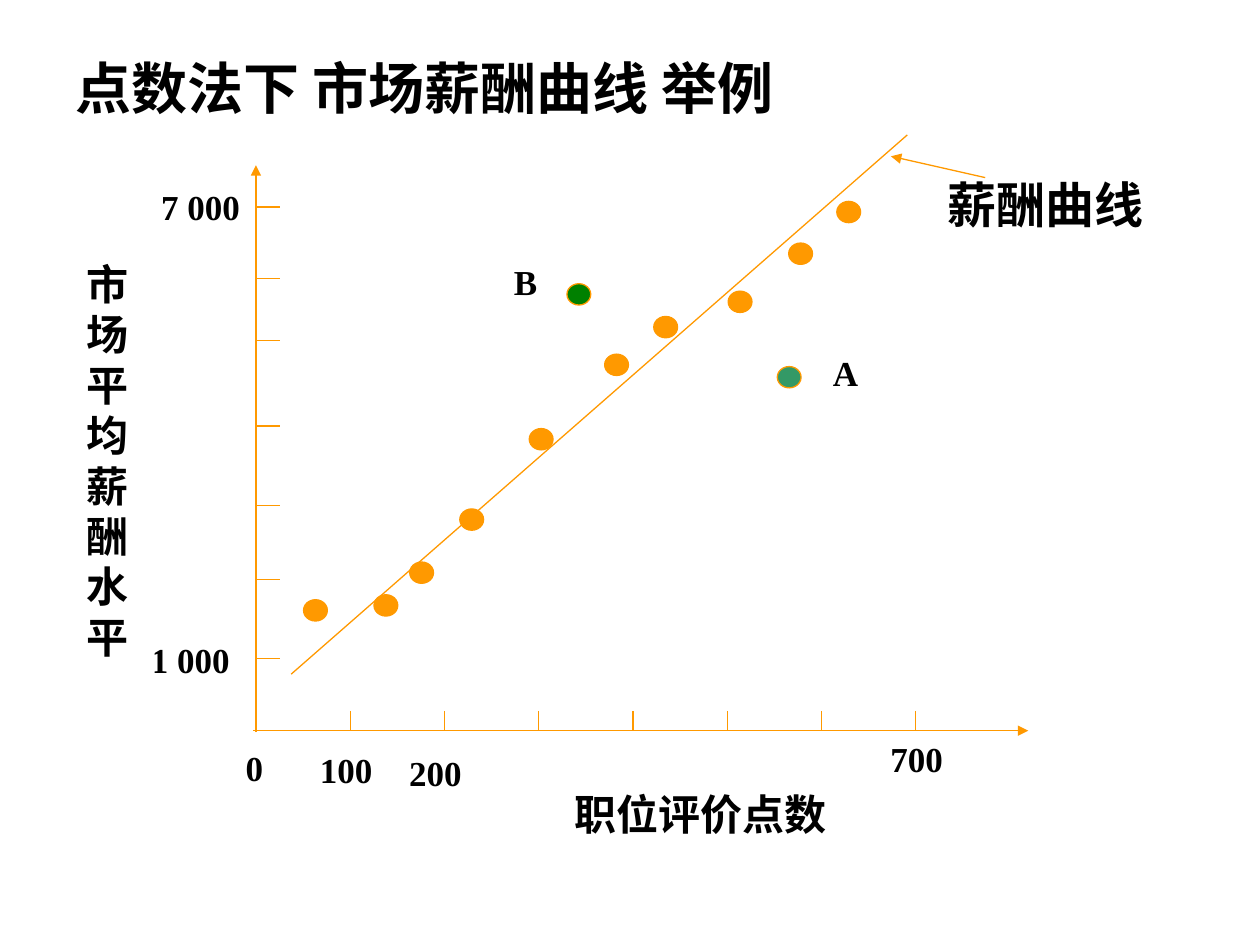
from lxml.etree import SubElement
from pptx import Presentation
from pptx.dml.color import RGBColor
from pptx.enum.shapes import MSO_CONNECTOR as CONN, MSO_SHAPE as SHAPE
from pptx.enum.text import MSO_ANCHOR as ANCHOR, PP_ALIGN as ALIGN
from pptx.oxml.ns import qn
from pptx.util import Cm, Pt

BLACK = RGBColor(0x00, 0x00, 0x00)
WHITE = RGBColor(0xFF, 0xFF, 0xFF)
ORANGE = RGBColor(0xFF, 0x99, 0x00)
TEAL = RGBColor(0x33, 0x99, 0x66)
GREEN = RGBColor(0x00, 0x80, 0x00)

# Axis positions and ticks in cm
AXIS_X, AXIS_Y = 5.16, 14.73
X_TICKS = [7.06 + 1.9 * i for i in range(7)]
Y_TICKS = [4.17, 5.61, 6.86, 8.59, 10.19, 11.68, 13.28]

# Left and top of each job's dot
JOBS = [(6.12, 12.09), (7.54, 11.99), (8.26, 11.33), (9.27, 10.26),
        (10.67, 8.64), (12.19, 7.14), (13.18, 6.38), (14.68, 5.87),
        (15.9, 4.9), (16.87, 4.06)]

# Text, left, top, width, height, size
LABELS = [
    ("0", 4.7, 14.91, 1.14, 1.37, 20),
    ("100", 6.2, 14.96, 1.75, 1.27, 20),
    ("200", 8.0, 15.01, 1.7, 1.19, 20),
    ("700", 17.7, 14.73, 2.36, 1.27, 20),
    ("1 000", 2.79, 12.75, 2.15, 1.37, 20),
    ("7 000", 3.0, 3.61, 2.18, 1.27, 20),
    ("A", 16.54, 6.96, 1.9, 1.27, 20),
    ("B", 10.11, 5.13, 1.22, 1.27, 20),
    ("职位评价点数", 11.33, 15.77, 12.95, 1.5, 24),
    ("薪酬曲线", 18.85, 3.38, 5.28, 1.45, 28),
]


class ChartSlide:
    font = "Times New Roman"
    line_width = Pt(0.75)

    def __init__(self, prs):
        self.s = prs.slides.add_slide(prs.slide_layouts[5])

    def add_text(self, tf, paragraphs, size, side=0.25):
        tf.word_wrap = True
        tf.margin_left = tf.margin_right = Cm(side)
        tf.margin_top = tf.margin_bottom = Cm(0.13)
        for i, text in enumerate(paragraphs):
            p = tf.add_paragraph() if i else tf.paragraphs[0]
            p.alignment = ALIGN.JUSTIFY
            r = p.add_run()
            r.text = text
            r.font.name = self.font
            r.font.size = Pt(size)
            r.font.bold = True
            r.font.color.rgb = BLACK

    def title(self, text, x, y, w, h):
        sp = self.s.shapes.title
        sp.left, sp.top, sp.width, sp.height = Cm(x), Cm(y), Cm(w), Cm(h)
        self.add_text(sp.text_frame, [text], 32)
        sp.text_frame.vertical_anchor = ANCHOR.MIDDLE

    def shape(self, kind, x, y, w, h, fill):
        sp = self.s.shapes.add_shape(kind, Cm(x), Cm(y), Cm(w), Cm(h))
        sp.shadow.inherit = False
        sp.fill.solid()
        sp.fill.fore_color.rgb = fill
        return sp

    def label(self, paragraphs, x, y, w, h, size, side=0.25):
        sp = self.shape(SHAPE.RECTANGLE, x, y, w, h, WHITE)
        sp.line.fill.background()
        sp.text_frame.vertical_anchor = ANCHOR.TOP
        self.add_text(sp.text_frame, paragraphs, size, side)

    def dot(self, x, y, fill=ORANGE):
        sp = self.shape(SHAPE.OVAL, x, y, 0.48, 0.43, fill)
        sp.line.color.rgb = ORANGE
        sp.line.width = self.line_width

    def line(self, x1, y1, x2, y2, arrow=False):
        c = self.s.shapes.add_connector(CONN.STRAIGHT, Cm(x1), Cm(y1), Cm(x2), Cm(y2))
        c.line.color.rgb = ORANGE
        c.line.width = self.line_width
        props = c._element.spPr
        if arrow:
            SubElement(props.find(qn("a:ln")), qn("a:tailEnd"), type="triangle")
        SubElement(props, qn("a:effectLst"))


def main():
    prs = Presentation()
    prs.slide_width, prs.slide_height = Cm(25.4), Cm(19.05)
    chart = ChartSlide(prs)
    chart.title("点数法下 市场薪酬曲线 举例", 1.27, 0.76, 22.86, 1.98)

    # Labels; the narrow box stacks the vertical axis title
    for text, *place in LABELS:
        chart.label([text], *place)
    chart.label(["市场平均", "薪酬水平"], 1.7, 5.08, 1.42, 9.32, 24, side=0.05)

    # Axes and ticks
    chart.line(5.11, AXIS_Y, 20.73, AXIS_Y, arrow=True)
    chart.line(AXIS_X, 14.76, AXIS_X, 3.33, arrow=True)
    for x in X_TICKS:
        chart.line(x, 14.33, x, AXIS_Y)
    for y in Y_TICKS:
        chart.line(AXIS_X, y, 5.64, y)

    # Pay curve and its pointer
    chart.line(5.87, 13.59, 18.29, 2.72)
    chart.line(19.86, 3.58, 17.96, 3.15, arrow=True)

    # Jobs near the curve, then the outliers A and B
    for x, y in JOBS:
        chart.dot(x, y)
    chart.dot(15.67, 7.39, TEAL)
    chart.dot(11.43, 5.72, GREEN)

    prs.save("out.pptx")


if __name__ == "__main__":
    main()
